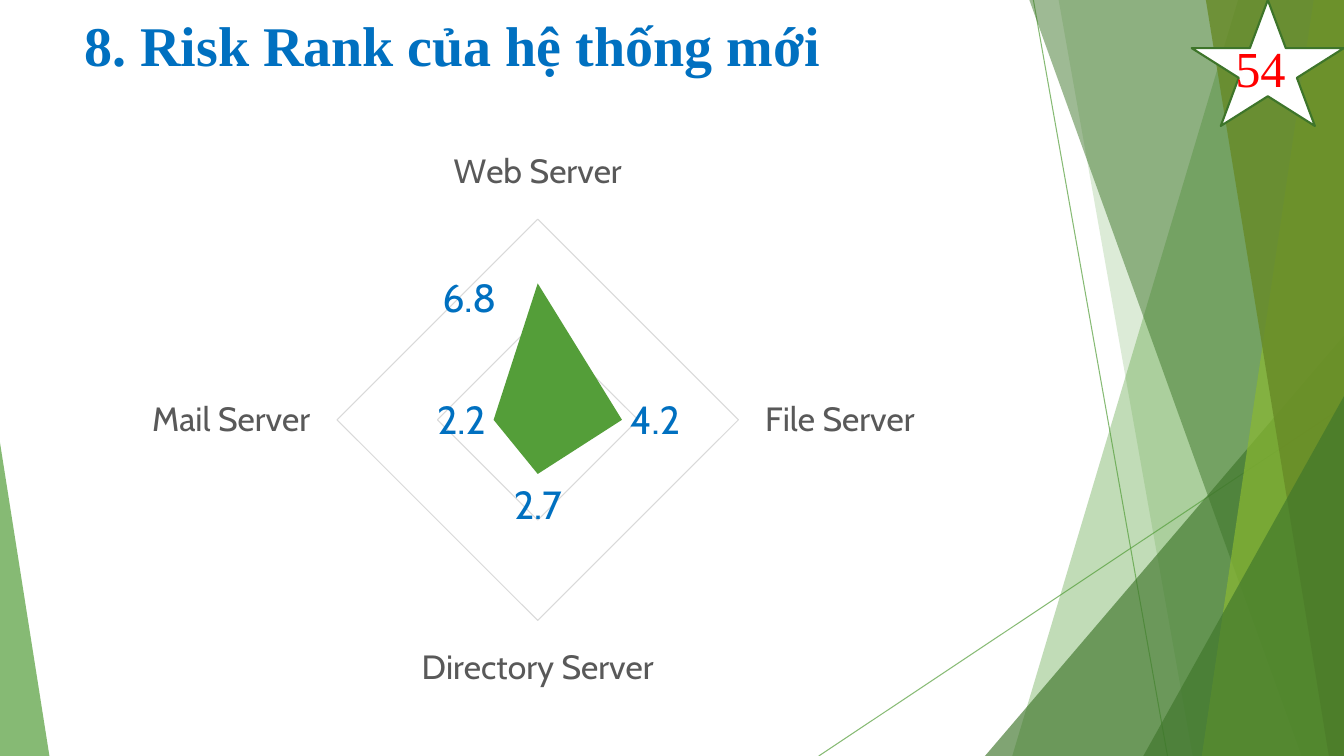
from dataclasses import dataclass

from lxml import etree
from pptx import Presentation
from pptx.chart.data import CategoryChartData
from pptx.dml.color import RGBColor
from pptx.enum.chart import XL_CHART_TYPE, XL_TICK_MARK
from pptx.enum.shapes import MSO_CONNECTOR, MSO_SHAPE
from pptx.enum.text import MSO_ANCHOR, MSO_AUTO_SIZE, PP_ALIGN
from pptx.oxml.ns import qn
from pptx.util import Inches, Pt

RADAR = XL_CHART_TYPE.RADAR_FILLED
NO_TICK = XL_TICK_MARK.NONE
STRAIGHT = MSO_CONNECTOR.STRAIGHT
TRIANGLE = MSO_SHAPE.ISOSCELES_TRIANGLE
STAR = MSO_SHAPE.STAR_5_POINT
NO_FIT = MSO_AUTO_SIZE.NONE
TOP, MIDDLE = MSO_ANCHOR.TOP, MSO_ANCHOR.MIDDLE
LEFT, RIGHT = PP_ALIGN.LEFT, PP_ALIGN.RIGHT


@dataclass(frozen=True)
class Theme:
    green: str = "549E39"
    dark_green: str = "3F762B"
    lime: str = "8AB833"
    olive: str = "678A26"
    star_line: str = "3E752A"
    white: str = "FFFFFF"
    blue: str = "0070C0"
    red: str = "FF0000"
    grey: str = "595959"
    grid: str = "D9D9D9"
    serif: str = "Times New Roman"
    sans: str = "Cabin"
    title_size: int = 40
    number_size: int = 36
    value_size: int = 28
    category_size: int = 24
    thin: float = 0.75
    outline: float = 1.5


THEME = Theme()
TITLE = "8. Risk Rank của hệ thống mới"
NUMBER = "54"
RISK_RANKS = {"Web Server": 6.8, "File Server": 4.2, "Directory Server": 2.7, "Mail Server": 2.2}

TITLE_BOX = (5.55, 0.67, 77.12, 16.67)
STAR_BOX = (88.67, 0, 11.33, 16.67)
NUMBER_BOX = (89.65, 5.07, 6.75, 7.6)
CHART_BOX = (3.23, 17.33, 72.84, 77.2)
RAYS = [(76.89, 0, 86.87, 100), (100, 53.73, 60.92, 100)]
FACETS = [
    ("band", 92.12, 75.32, THEME.green, 36),
    ("band", 78.77, 88.75, THEME.green, 20),
    ("corner", 73.29, 44.4, THEME.dark_green, 66),
    ("band", 76.59, 96.85, THEME.dark_green, 50),
    ("band", 97.75, 89.42, THEME.lime, 70),
    ("band", 89.72, 98.87, THEME.olive, 80),
    ("corner", 85.07, 52.4, THEME.dark_green, 66),
]
LEFT_CORNER = (0, 58.53, 3.68, 41.47)
PLOT_SHARES = {"x": 0.3, "y": 0.15, "w": 0.41, "h": 0.69}
TOP_LABEL_SHIFT = {"x": -0.07, "y": 0.08}

presentation = Presentation()
presentation.slide_width, presentation.slide_height = Inches(13.33), Inches(7.5)
slide = presentation.slides.add_slide(presentation.slide_layouts[5])
shapes = slide.shapes


def across(percent):
    return round(presentation.slide_width * percent / 100)


def down(percent):
    return round(presentation.slide_height * percent / 100)


def place(box):
    left, top, width, height = box
    return across(left), down(top), across(width), down(height)


def rgb(color):
    return RGBColor.from_string(color)


def set_alpha(shape, percent):
    for color in shape._element.xpath("./p:spPr//a:srgbClr"):
        etree.SubElement(color, qn("a:alpha")).set("val", str(percent * 1000))


def paint(shape, color, alpha=100):
    shape.shadow.inherit = False
    shape.fill.solid()
    shape.fill.fore_color.rgb = rgb(color)
    shape.line.fill.background()
    if alpha < 100:
        set_alpha(shape, alpha)


def style_line(line, color, width):
    line.color.rgb = rgb(color)
    line.width = Pt(width)


def style_font(font, name, size, color, bold=False):
    font.name, font.size, font.bold = name, Pt(size), bold
    font.color.rgb = rgb(color)


def add_ray(ray):
    x1, y1, x2, y2 = ray
    connector = shapes.add_connector(STRAIGHT, across(x1), down(y1), across(x2), down(y2))
    style_line(connector.line, THEME.green, THEME.thin)
    set_alpha(connector, 70)
    etree.SubElement(connector._element.spPr, qn("a:effectLst"))


def add_band(top_x, bottom_x):
    builder = shapes.build_freeform(across(top_x), 0)
    corners = [(100, 0), (100, 100), (bottom_x, 100)]
    builder.add_line_segments([(across(x), down(y)) for x, y in corners], close=True)
    return builder.convert_to_shape()


def add_triangle(box, apex):
    triangle = shapes.add_shape(TRIANGLE, *place(box))
    triangle.adjustments[0] = apex
    return triangle


def add_facet(kind, first, second, color, alpha):
    if kind == "band":
        facet = add_band(first, second)
    else:
        facet = add_triangle((first, second, 100 - first, 100 - second), 1)
    paint(facet, color, alpha)


def write(shape, text, anchor, alignment, size, color, bold=False):
    frame = shape.text_frame
    frame.text = text
    frame.word_wrap = True
    frame.auto_size = NO_FIT
    frame.vertical_anchor = anchor
    paragraph = frame.paragraphs[0]
    paragraph.alignment = alignment
    style_font(paragraph.font, THEME.serif, size, color, bold)


def set_layout(parent, position, shares, inner=False):
    for old_layout in parent.findall(qn("c:layout")):
        parent.remove(old_layout)
    layout = etree.Element(qn("c:layout"))
    manual = etree.SubElement(layout, qn("c:manualLayout"))
    settings = dict(shares)
    if inner:
        settings = {"layoutTarget": "inner", "xMode": "edge", "yMode": "edge", **shares}
    for name, value in settings.items():
        etree.SubElement(manual, qn(f"c:{name}")).set("val", str(value))
    parent.insert(position, layout)


def add_risk_chart():
    data = CategoryChartData()
    data.categories = list(RISK_RANKS)
    data.add_series("Series 1", list(RISK_RANKS.values()))
    chart = shapes.add_chart(RADAR, *place(CHART_BOX), data).chart
    chart.has_title = chart.has_legend = False
    style_font(chart.font, THEME.sans, THEME.category_size, THEME.grey)

    categories, values = chart.category_axis, chart.value_axis
    categories.has_major_gridlines = False
    categories.major_tick_mark = categories.minor_tick_mark = NO_TICK
    style_font(categories.tick_labels.font, THEME.sans, THEME.category_size, THEME.grey)
    style_line(categories.format.line, THEME.grid, THEME.thin)
    values.visible = False
    values.minimum_scale, values.maximum_scale, values.major_unit = 0, 10, 5
    values.has_major_gridlines = True
    style_line(values.major_gridlines.format.line, THEME.grid, THEME.thin)

    series = chart.plots[0].series[0]
    series.format.fill.solid()
    series.format.fill.fore_color.rgb = rgb(THEME.green)
    series.format.line.fill.background()
    series.data_labels.show_value = True
    for labels in (series.data_labels, series.points[0].data_label):
        style_font(labels.font, THEME.sans, THEME.value_size, THEME.blue)
    for leader_lines in series._element.xpath(".//c:showLeaderLines"):
        leader_lines.set("val", "0")
    set_layout(series._element.xpath(".//c:dLbl")[0], 1, TOP_LABEL_SHIFT)
    set_layout(chart._chartSpace.xpath(".//c:plotArea")[0], 0, PLOT_SHARES, inner=True)


for ray in RAYS:
    add_ray(ray)
for facet in FACETS:
    add_facet(*facet)
paint(add_triangle(LEFT_CORNER, 0), THEME.green, 70)

title = shapes.title
title.left, title.top, title.width, title.height = place(TITLE_BOX)
shapes._spTree.append(title._element)
write(title, TITLE, TOP, LEFT, THEME.title_size, THEME.blue, bold=True)

star = shapes.add_shape(STAR, *place(STAR_BOX))
paint(star, THEME.white)
style_line(star.line, THEME.star_line, THEME.outline)
number = shapes.add_textbox(*place(NUMBER_BOX))
write(number, NUMBER, MIDDLE, RIGHT, THEME.number_size, THEME.red)

add_risk_chart()
presentation.save("out.pptx")
